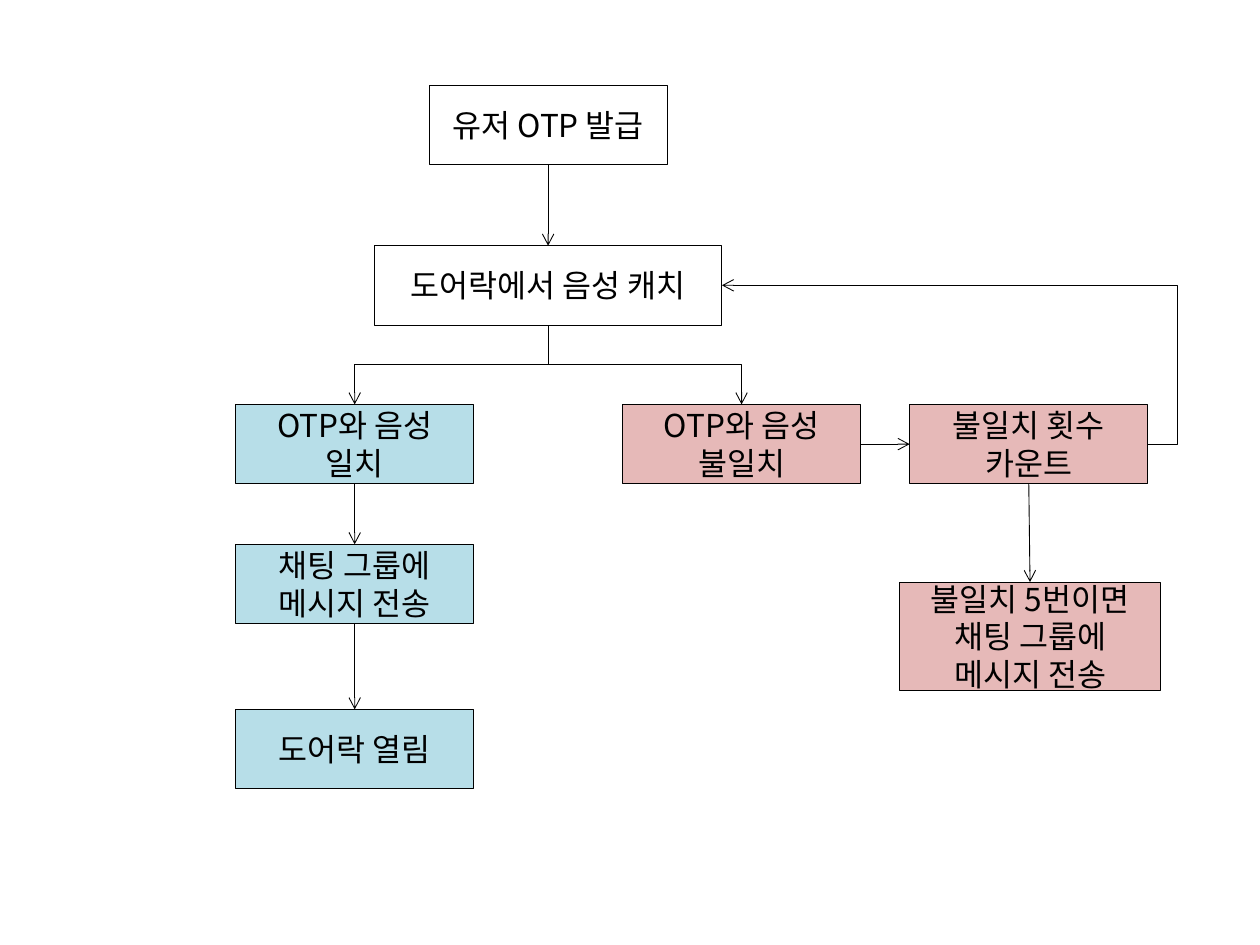
from lxml.etree import SubElement
from pptx import Presentation
from pptx.dml.color import RGBColor
from pptx.enum.shapes import MSO_CONNECTOR, MSO_SHAPE
from pptx.enum.text import MSO_ANCHOR, PP_ALIGN
from pptx.oxml.ns import qn
from pptx.util import Inches, Pt

FONT = "Noto Sans CJK KR"
BLACK, BLUE, PINK = "000000", "B7DEE8", "E6B9B8"
COLUMNS, ROWS = 100, 75
NODE_WIDTH, NODE_HEIGHT = 18.9, 6.3
TOP, LEFT, BOTTOM, RIGHT = range(4)

presentation = Presentation()
presentation.slide_width = Inches(10)
presentation.slide_height = Inches(7.5)
slide = presentation.slides.add_slide(presentation.slide_layouts[6])


def columns(count):
    return round(presentation.slide_width * count / COLUMNS)


def rows(count):
    return round(presentation.slide_height * count / ROWS)


def color(value):
    return RGBColor.from_string(value)


def write_text(shape, text, size=18, font=FONT, text_color=BLACK, align=PP_ALIGN.CENTER):
    frame = shape.text_frame
    frame.word_wrap = True
    frame.vertical_anchor = MSO_ANCHOR.MIDDLE
    frame.text = text
    for paragraph in frame.paragraphs:
        paragraph.alignment = align
        for run in paragraph.runs:
            run.font.size = Pt(size)
            run.font.name = font
            run.font.color.rgb = color(text_color)
            SubElement(run.font._element, qn("a:ea")).set("typeface", font)


def add_node(text, left, top, width=NODE_WIDTH, height=NODE_HEIGHT, fill=None):
    shape = slide.shapes.add_shape(
        MSO_SHAPE.RECTANGLE, columns(left), rows(top), columns(width), rows(height))
    shape.shadow.inherit = False
    if fill:
        shape.fill.solid()
        shape.fill.fore_color.rgb = color(fill)
    else:
        shape.fill.background()
    shape.line.color.rgb = color(BLACK)
    shape.line.width = Pt(0.5)
    write_text(shape, text)
    return shape


def add_arrow(start, end, start_site=BOTTOM, end_site=TOP, kind=MSO_CONNECTOR.STRAIGHT):
    connector = slide.shapes.add_connector(kind, 0, 0, 0, 0)
    connector.begin_connect(start, start_site)
    connector.end_connect(end, end_site)
    connector.line.color.rgb = color(BLACK)
    connector.line.width = Pt(0.5)
    SubElement(connector.line._get_or_add_ln(), qn("a:tailEnd")).set("type", "arrow")
    SubElement(connector._element.spPr, qn("a:effectLst"))
    return connector


def add_branch_arrow(start, end):
    connector = add_arrow(start, end, kind=MSO_CONNECTOR.ELBOW)
    goes_right = connector.end_x > connector.begin_x
    left, top, width, height = connector.left, connector.top, connector.width, connector.height
    connector.left = left + (width - height) // 2
    connector.top = top + (height - width) // 2
    connector.width, connector.height = height, width
    transform = connector._element.spPr.find(qn("a:xfrm"))
    transform.set("rot", str((270 if goes_right else 90) * 60000))
    transform.set("flipH", "1" if goes_right else "0")


def add_return_arrow(start, end, overshoot):
    connector = add_arrow(start, end, RIGHT, RIGHT, MSO_CONNECTOR.ELBOW)
    geometry = connector._element.spPr.find(qn("a:prstGeom"))
    adjustments = geometry.find(qn("a:avLst"))
    if adjustments is None:
        adjustments = SubElement(geometry, qn("a:avLst"))
    guide = SubElement(adjustments, qn("a:gd"))
    guide.set("name", "adj1")
    guide.set("fmla", f"val {round(-overshoot * 100000)}")


def build_entry(left, top, width):
    issue = add_node("유저 OTP 발급", left + (width - NODE_WIDTH) / 2, top)
    catch = add_node("도어락에서 음성 캐치", left, top + 12.7, width)
    add_arrow(issue, catch)
    return catch


def build_match_branch(left, top):
    steps = (("OTP와 음성\n일치", 0), ("채팅 그룹에\n메시지 전송", 11.1), ("도어락 열림", 24.2))
    nodes = [add_node(text, left, top + offset, fill=BLUE) for text, offset in steps]
    for start, end in zip(nodes, nodes[1:]):
        add_arrow(start, end)
    return nodes[0]


def build_mismatch_branch(left, top):
    mismatch = add_node("OTP와 음성\n불일치", left, top, fill=PINK)
    count = add_node("불일치 횟수\n카운트", left + 22.8, top, fill=PINK)
    alert = add_node("불일치 5번이면 채팅 그룹에\n메시지 전송",
                     left + 22, top + 14.1, 20.7, 8.6, PINK)
    add_arrow(mismatch, count, RIGHT, LEFT)
    add_arrow(count, alert)
    return mismatch, count


catch = build_entry(29.7, 6.8, 27.6)
match = build_match_branch(18.7, 32.1)
mismatch, count = build_mismatch_branch(49.4, 32.1)
for branch in (match, mismatch):
    add_branch_arrow(catch, branch)
add_return_arrow(count, catch, 0.07)

presentation.save("out.pptx")
